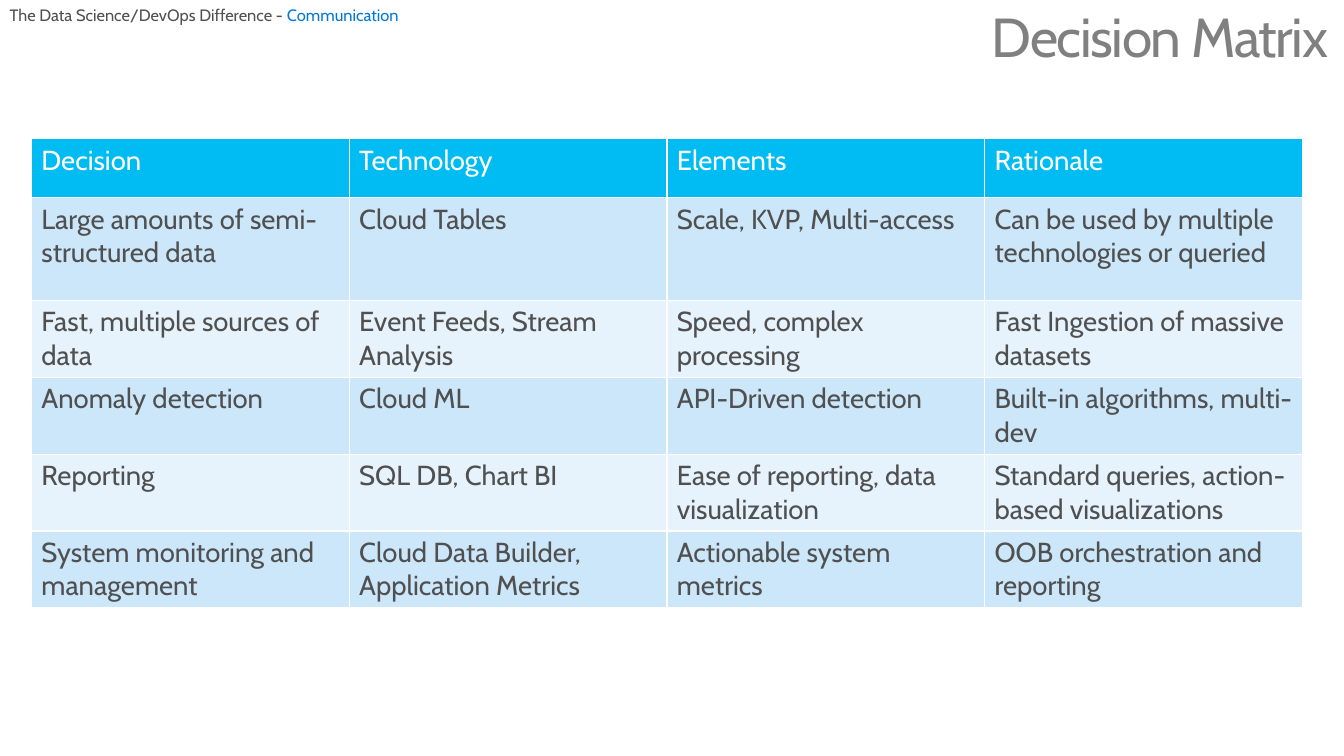
from dataclasses import dataclass

from pptx import Presentation
from pptx.dml.color import RGBColor
from pptx.enum.text import MSO_ANCHOR, MSO_AUTO_SIZE, PP_ALIGN
from pptx.util import Pt

COLORS = {
    "title": "808080",
    "text": "505050",
    "accent": "0078D7",
    "header": "00BCF2",
    "header_text": "FFFFFF",
    "band_dark": "CCE7FA",
    "band_light": "E7F3FC",
}
FONT = "Cabin"


@dataclass
class MatrixRow:
    height: float
    fill: str
    color: str
    cells: tuple[str, str, str, str]


ROWS = [
    MatrixRow(43, "header", "header_text",
              ("Decision", "Technology", "Elements", "Rationale")),
    MatrixRow(75, "band_dark", "text",
              ("Large amounts of semi-structured data", "Cloud Tables",
               "Scale, KVP, Multi-access",
               "Can be used by multiple technologies or queried")),
    MatrixRow(55, "band_light", "text",
              ("Fast, multiple sources of data", "Event Feeds, Stream Analysis",
               "Speed, complex processing", "Fast Ingestion of massive datasets")),
    MatrixRow(55, "band_dark", "text",
              ("Anomaly detection", "Cloud ML", "API-Driven detection",
               "Built-in algorithms, multi-dev")),
    MatrixRow(55, "band_light", "text",
              ("Reporting", "SQL DB, Chart BI",
               "Ease of reporting, data visualization",
               "Standard queries, action-based visualizations")),
    MatrixRow(55, "band_dark", "text",
              ("System monitoring and management",
               "Cloud Data Builder, Application Metrics",
               "Actionable system metrics", "OOB orchestration and reporting")),
]


def rgb(name: str) -> RGBColor:
    return RGBColor.from_string(COLORS[name])


def add_run(p, text: str, size: float, color: str):
    r = p.add_run()
    r.text = text
    for name, value in {"name": FONT, "size": Pt(size), "bold": False}.items():
        setattr(r.font, name, value)
    r.font.color.rgb = rgb(color)
    return r


def add_title(s, text: str) -> None:
    sp = s.shapes.title
    for name, value in {"left": 0, "top": 0, "width": Pt(979.2), "height": Pt(61.2)}.items():
        setattr(sp, name, value)
    tf = sp.text_frame
    frame_format = {
        "margin_left": Pt(11.5), "margin_right": Pt(11.5),
        "margin_top": Pt(7.2), "margin_bottom": Pt(7.2),
        "vertical_anchor": MSO_ANCHOR.TOP,
        "auto_size": MSO_AUTO_SIZE.NONE, "word_wrap": True,
    }
    for name, value in frame_format.items():
        setattr(tf, name, value)
    p = tf.paragraphs[0]
    p.alignment = PP_ALIGN.RIGHT
    p.line_spacing = 0.9
    r = add_run(p, text, 40, "title")
    r.font._element.set("spc", "-100")


def add_breadcrumb(s, parts: list[tuple[str, str]]) -> None:
    sp = s.shapes.add_textbox(0, 0, Pt(316), Pt(21.6))
    tf = sp.text_frame
    tf.word_wrap = True
    tf.auto_size = MSO_AUTO_SIZE.SHAPE_TO_FIT_TEXT
    for text, color in parts:
        add_run(tf.paragraphs[0], text, 12, color)


def add_matrix(s, rows: list[MatrixRow]) -> None:
    height = sum(row.height for row in rows)
    table = s.shapes.add_table(len(rows), len(rows[0].cells), Pt(23), Pt(101),
                               Pt(926), Pt(height)).table
    for table_row, row in zip(table.rows, rows):
        table_row.height = Pt(row.height)
        for cell, text in zip(table_row.cells, row.cells):
            cell.fill.solid()
            cell.fill.fore_color.rgb = rgb(row.fill)
            add_run(cell.text_frame.paragraphs[0], text, 20, row.color)


def main() -> None:
    prs = Presentation()
    prs.slide_width, prs.slide_height = Pt(979.2), Pt(550.8)
    s = prs.slides.add_slide(prs.slide_layouts[5])

    # Title at top right
    add_title(s, "Decision Matrix")
    # Decision table
    add_matrix(s, ROWS)
    # Section label at top left
    add_breadcrumb(s, [("The Data Science/DevOps Difference - ", "text"),
                       ("Communication", "accent")])

    prs.save("out.pptx")


if __name__ == "__main__":
    main()
